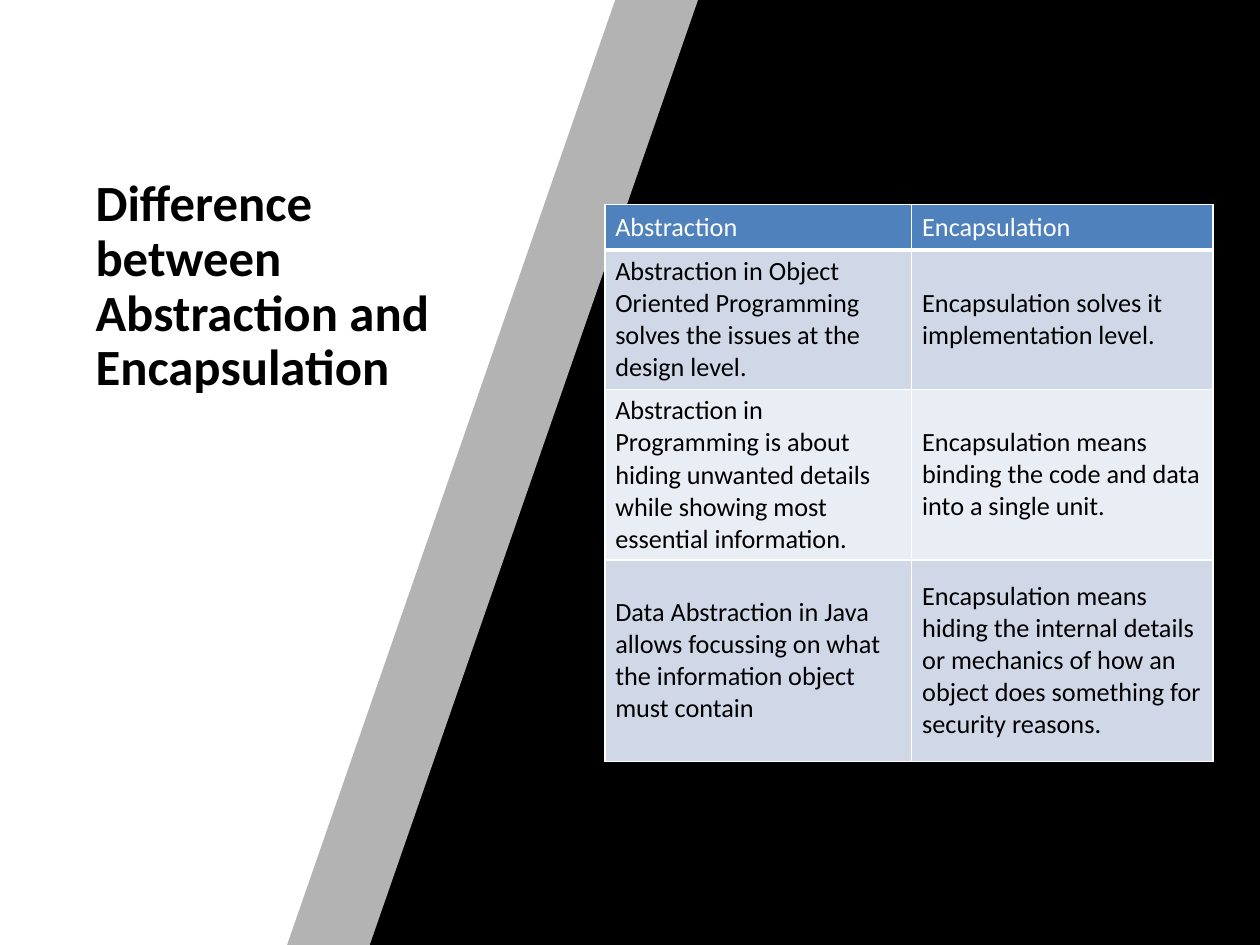
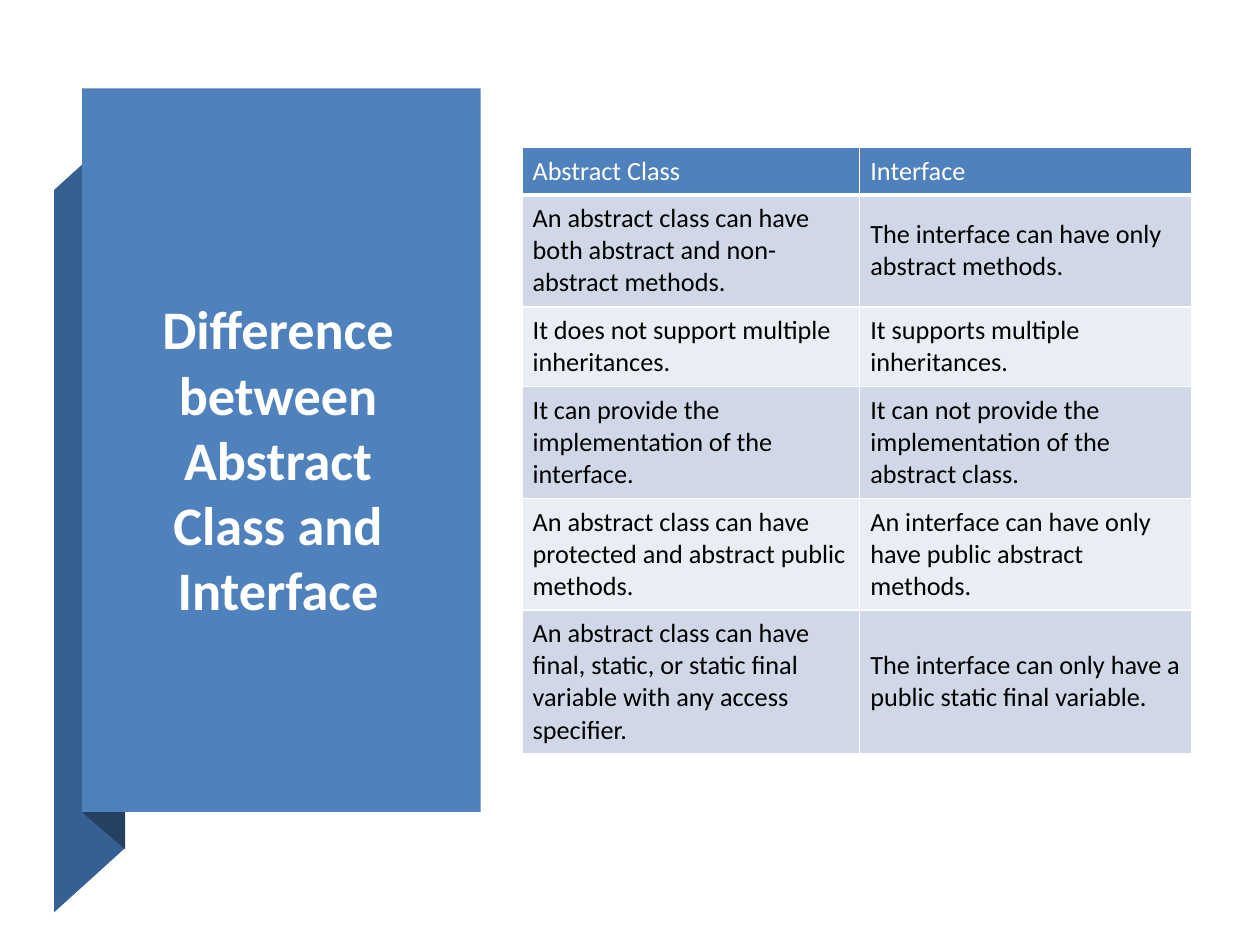
from dataclasses import dataclass

from lxml.etree import SubElement
from pptx import Presentation
from pptx.dml.color import RGBColor
from pptx.enum.shapes import MSO_SHAPE as Shape
from pptx.enum.text import MSO_ANCHOR as Anchor, PP_ALIGN as Align
from pptx.oxml.ns import qn
from pptx.util import Pt


@dataclass(frozen=True)
class Theme:
    font: str = "Calibri"
    white: str = "FFFFFF"
    black: str = "000000"
    blue: str = "4F81BD"
    blue_side: str = "376092"
    blue_fold: str = "254061"
    bands: tuple[str, str] = ("D0D8E8", "E9EDF4")
    cell_size: float = 15
    border: float = 1
    header_border: float = 3


@dataclass(frozen=True)
class Box:
    left: float
    top: float
    width: float
    height: float


@dataclass(frozen=True)
class Title:
    text: str
    box: Box
    size: float
    color: str
    anchor: Anchor
    align: Align = Align.LEFT
    line_spacing: float = 1.0


@dataclass(frozen=True)
class Comparison:
    left: float
    top: float
    col_widths: tuple[float, ...]
    row_heights: tuple[float, ...]
    side_inset: float
    rows: tuple[tuple[str, str], ...]


@dataclass(frozen=True)
class Outline:
    points: tuple[tuple[float, float], ...]
    color: str
    opacity: int = 100


THEME = Theme()
WIDTH, HEIGHT = 720, 540


def rgb(color: str) -> RGBColor:
    return RGBColor.from_string(color)


def paint(sp, color: str) -> None:
    sp.fill.solid()
    sp.fill.fore_color.rgb = rgb(color)
    sp.line.fill.background()
    sp.shadow.inherit = False


def add_rect(s, box: Box, color: str) -> None:
    sp = s.shapes.add_shape(Shape.RECTANGLE, Pt(box.left), Pt(box.top),
                            Pt(box.width), Pt(box.height))
    paint(sp, color)


def add_outline(s, outline: Outline) -> None:
    start, *rest = [(Pt(x), Pt(y)) for x, y in outline.points]
    builder = s.shapes.build_freeform(*start)
    builder.add_line_segments(rest, close=True)
    sp = builder.convert_to_shape()
    paint(sp, outline.color)
    if outline.opacity < 100:
        clr = sp.fill._xPr.find(qn("a:solidFill")).find(qn("a:srgbClr"))
        SubElement(clr, qn("a:alpha"), val=str(outline.opacity * 1000))


def add_run(p, text: str, size: float, color: str, bold: bool) -> None:
    r = p.add_run()
    r.text = text
    r.font.name = THEME.font
    r.font.size = Pt(size)
    r.font.bold = bold
    r.font.color.rgb = rgb(color)


def add_title(s, title: Title) -> None:
    box = title.box
    sp = s.shapes.add_textbox(Pt(box.left), Pt(box.top), Pt(box.width), Pt(box.height))
    tf = sp.text_frame
    tf.word_wrap = True
    tf.vertical_anchor = title.anchor
    p = tf.paragraphs[0]
    p.alignment = title.align
    p.line_spacing = title.line_spacing
    add_run(p, title.text, title.size, title.color, True)


def set_borders(cell, bottom: float) -> None:
    """Rule all four sides in white; only the bottom width varies."""
    tc_pr = cell._tc.get_or_add_tcPr()
    for side in "LRTB":
        width = bottom if side == "B" else THEME.border
        ln = SubElement(tc_pr, qn(f"a:ln{side}"), w=str(Pt(width)))
        fill = SubElement(ln, qn("a:solidFill"))
        SubElement(fill, qn("a:srgbClr"), val=THEME.white)


def add_comparison(s, comp: Comparison) -> None:
    """Draw a two-column table with a blue header and banded rows."""
    frame = s.shapes.add_table(
        len(comp.rows), len(comp.col_widths), Pt(comp.left), Pt(comp.top),
        Pt(sum(comp.col_widths)), Pt(sum(comp.row_heights)))
    table = frame.table
    for col, width in zip(table.columns, comp.col_widths):
        col.width = Pt(width)
    for i, (row, height, texts) in enumerate(zip(table.rows, comp.row_heights, comp.rows)):
        row.height = Pt(height)
        header = i == 0
        for cell, text in zip(row.cells, texts):
            set_borders(cell, THEME.header_border if header else THEME.border)
            cell.fill.solid()
            cell.fill.fore_color.rgb = rgb(THEME.blue if header else THEME.bands[(i - 1) % 2])
            cell.vertical_anchor = Anchor.MIDDLE
            cell.margin_left = cell.margin_right = Pt(comp.side_inset)
            cell.margin_top = cell.margin_bottom = Pt(3)
            add_run(cell.text_frame.paragraphs[0], text, THEME.cell_size,
                    THEME.white if header else THEME.black, False)


def slanted_panel(top_right: float, bottom_right: float, opacity: int) -> Outline:
    points = ((0, 0), (top_right, 0), (bottom_right, HEIGHT), (0, HEIGHT))
    return Outline(points, THEME.white, opacity)


ENCAPSULATION_TITLE = Title(
    "Difference between Abstraction and Encapsulation",
    Box(47.5, 26.6, 229, 203.8), 29, THEME.black, Anchor.BOTTOM, line_spacing=0.9)

ENCAPSULATION_TABLE = Comparison(
    345.6, 116.8, (175.4, 172.3), (26, 79.8, 97.4, 115.2), 6, (
        ("Abstraction", "Encapsulation"),
        ("Abstraction in Object Oriented Programming solves the issues at the design level.",
         "Encapsulation solves it implementation level."),
        ("Abstraction in Programming is about hiding unwanted details while showing "
         "most essential information.",
         "Encapsulation means binding the code and data into a single unit."),
        ("Data Abstraction in Java allows focussing on what the information object must contain",
         "Encapsulation means hiding the internal details or mechanics of how an object "
         "does something for security reasons."),
    ))

INTERFACE_TITLE = Title(
    "Difference between Abstract Class and Interface",
    Box(77.8, 120.2, 162, 283.7), 31, THEME.white, Anchor.MIDDLE, Align.CENTER)

INTERFACE_TABLE = Comparison(
    298.2, 84.4, (193, 190), (27, 64, 45.4, 64, 64, 82), 6.2, (
        ("Abstract Class", "Interface"),
        ("An abstract class can have both abstract and non-abstract methods.",
         "The interface can have only abstract methods."),
        ("It does not support multiple inheritances.",
         "It supports multiple inheritances."),
        ("It can provide the implementation of the interface.",
         "It can not provide the implementation of the abstract class."),
        ("An abstract class can have protected and abstract public methods.",
         "An interface can have only have public abstract methods."),
        ("An abstract class can have final, static, or static final variable "
         "with any access specifier.",
         "The interface can only have a public static final variable."),
    ))

RIBBON_SIDE = Outline(((31, 521.3), (71.3, 484.8), (71.3, 72), (31, 108.5)), THEME.blue_side)
RIBBON_FOLD = Outline(((47.2, 464.5), (71.5, 485.3), (71.5, 71.3), (47.2, 50.4)),
                      THEME.blue_fold)
RIBBON_FRONT = Box(46.9, 50.6, 227.7, 413.4)


def add_slide(prs):
    s = prs.slides.add_slide(prs.slide_layouts[6])
    s.background.fill.solid()
    s.background.fill.fore_color.rgb = rgb(THEME.white)
    return s


def build_encapsulation_slide(prs) -> None:
    s = add_slide(prs)
    add_rect(s, Box(0, 0, WIDTH, HEIGHT), THEME.black)
    add_outline(s, slanted_panel(398.9, 211.3, 70))
    add_outline(s, slanted_panel(351.5, 164, 100))
    add_title(s, ENCAPSULATION_TITLE)
    add_comparison(s, ENCAPSULATION_TABLE)


def build_interface_slide(prs) -> None:
    s = add_slide(prs)
    add_outline(s, RIBBON_SIDE)
    add_outline(s, RIBBON_FOLD)
    add_rect(s, RIBBON_FRONT, THEME.blue)
    add_title(s, INTERFACE_TITLE)
    add_comparison(s, INTERFACE_TABLE)


def main() -> None:
    prs = Presentation()
    prs.slide_width, prs.slide_height = Pt(WIDTH), Pt(HEIGHT)
    build_encapsulation_slide(prs)
    build_interface_slide(prs)
    prs.save("out.pptx")


if __name__ == "__main__":
    main()
